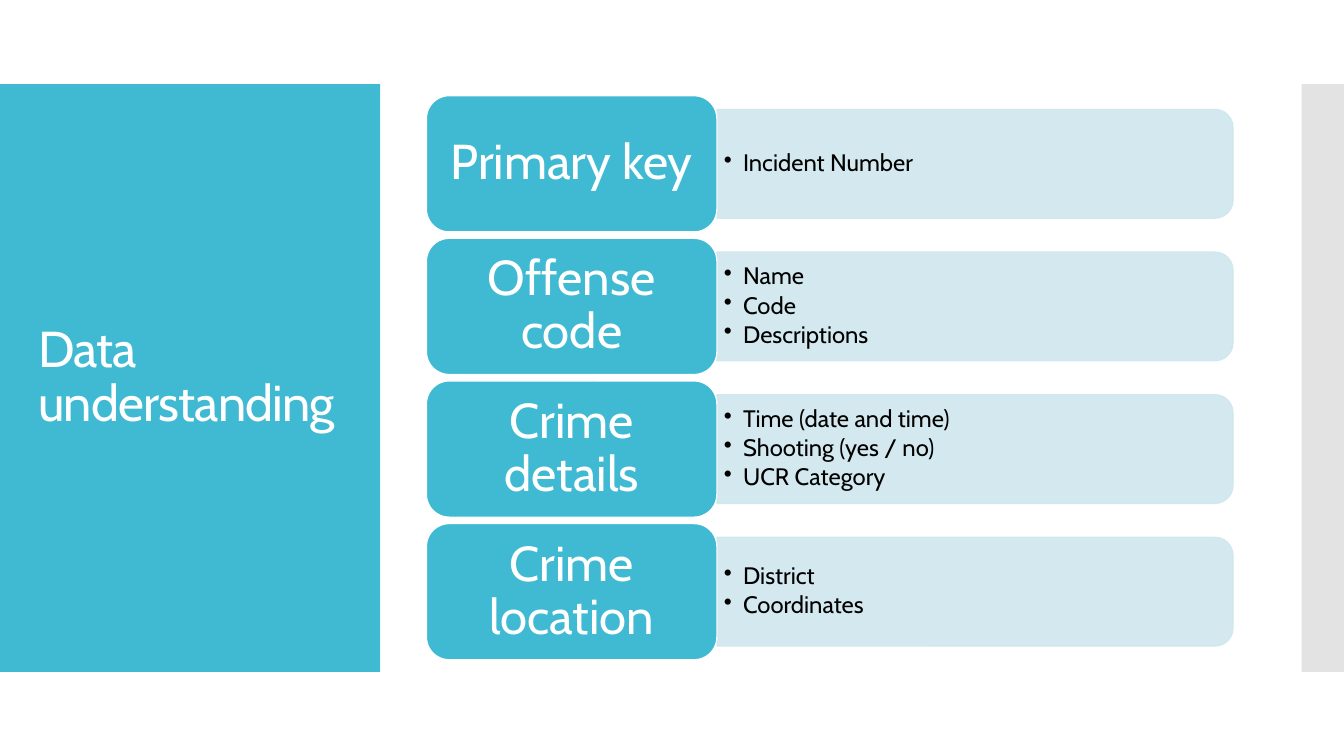
from lxml import etree
from pptx import Presentation
from pptx.dml.color import RGBColor
from pptx.enum.shapes import MSO_SHAPE
from pptx.enum.text import MSO_ANCHOR, PP_ALIGN
from pptx.oxml.ns import qn
from pptx.util import Inches, Pt

RECTANGLE = MSO_SHAPE.RECTANGLE
ROUNDED = MSO_SHAPE.ROUNDED_RECTANGLE
ROUNDED_TOP = MSO_SHAPE.ROUND_2_SAME_RECTANGLE
MIDDLE = MSO_ANCHOR.MIDDLE
LEFT, CENTER = PP_ALIGN.LEFT, PP_ALIGN.CENTER

TEAL = RGBColor(0x40, 0xBA, 0xD2)
PALE = RGBColor(0xCF, 0xE7, 0xEE)
GRAY = RGBColor(0xC8, 0xC8, 0xC8)
WHITE = RGBColor(0xFF, 0xFF, 0xFF)
BLACK = RGBColor(0x00, 0x00, 0x00)

SLIDE_WIDTH, SLIDE_HEIGHT = 13.33, 7.5
BAND_TOP = SLIDE_HEIGHT / 9
BAND_HEIGHT = SLIDE_HEIGHT * 7 / 9
TITLE_WIDTH, EDGE_WIDTH = 3.77, 0.42
LABEL_LEFT, LABEL_WIDTH, LABEL_HEIGHT = 4.23, 2.88, 1.35
ROW_TOP, ROW_PITCH = 0.95, 1.415
DETAIL_LEFT = LABEL_LEFT + LABEL_WIDTH
DETAIL_WIDTH, DETAIL_HEIGHT = 5.12, LABEL_HEIGHT * 0.8
TEXT_WIDTH, TEXT_HEIGHT = 5.07, 0.97

ROWS = [
    ("Primary key", ["Incident Number"]),
    ("Offense code", ["Name", "Code", "Descriptions"]),
    ("Crime details", ["Time (date and time)", "Shooting (yes / no)", "UCR Category"]),
    ("Crime location", ["District", "Coordinates"]),
]

TITLE_STYLE = {"size": Pt(36), "name": "Cabin"}
LABEL_STYLE = {"size": Pt(35), "name": "Cabin"}
DETAIL_STYLE = {"size": Pt(17), "name": "Cabin"}

deck = Presentation()
deck.slide_width, deck.slide_height = Inches(SLIDE_WIDTH), Inches(SLIDE_HEIGHT)
page = deck.slides.add_slide(deck.slide_layouts[6])


def add_block(kind, left, top, width, height, color, line=None, opacity=100):
    block = page.shapes.add_shape(
        kind, Inches(left), Inches(top), Inches(width), Inches(height))
    block.shadow.inherit = False
    block.fill.solid()
    block.fill.fore_color.rgb = color
    if line is None:
        block.line.fill.background()
    else:
        block.line.color.rgb = line
        block.line.width = Pt(0.85)
    if opacity < 100:
        for tint in block._element.spPr.iter(qn("a:srgbClr")):
            etree.SubElement(tint, qn("a:alpha"), val=str(opacity * 1000))
    return block


def write(box, lines, style, color, align, margins, after=0):
    frame = box.text_frame
    frame.word_wrap = True
    frame.vertical_anchor = MIDDLE
    for side, margin in zip(("left", "right", "top", "bottom"), margins):
        setattr(frame, f"margin_{side}", Inches(margin))
    for number, line in enumerate(lines):
        para = frame.paragraphs[0] if number == 0 else frame.add_paragraph()
        para.alignment = align
        para.line_spacing = 0.9
        para.space_after = Pt(after)
        span = para.add_run()
        span.text = line
        for key, value in style.items():
            setattr(span.font, key, value)
        span.font.color.rgb = color
    return frame


title = add_block(RECTANGLE, 0, BAND_TOP, TITLE_WIDTH, BAND_HEIGHT, TEAL)
frame = write(title, ["Data understanding"], TITLE_STYLE, WHITE, LEFT,
              (0.38, 0.37, 0.45, 0.45))
frame.paragraphs[0].runs[0].font._element.set("spc", "-60")
add_block(RECTANGLE, SLIDE_WIDTH - EDGE_WIDTH, BAND_TOP, EDGE_WIDTH, BAND_HEIGHT,
          GRAY, opacity=50)

for row, (name, details) in enumerate(ROWS):
    top = ROW_TOP + row * ROW_PITCH
    middle = top + LABEL_HEIGHT / 2

    panel = add_block(
        ROUNDED_TOP, DETAIL_LEFT + (DETAIL_WIDTH - DETAIL_HEIGHT) / 2,
        middle - DETAIL_WIDTH / 2, DETAIL_HEIGHT, DETAIL_WIDTH, PALE, PALE, 90)
    panel.rotation = 90

    box = page.shapes.add_textbox(
        Inches(DETAIL_LEFT), Inches(middle - TEXT_HEIGHT / 2),
        Inches(TEXT_WIDTH), Inches(TEXT_HEIGHT))
    frame = write(box, details, DETAIL_STYLE, BLACK, LEFT,
                  (0.07, 0.07, 0.04, 0.04), 2.5)
    for para in frame.paragraphs:
        settings = para._p.get_or_add_pPr()
        settings.set("marL", str(Inches(0.19)))
        settings.set("indent", str(Inches(-0.19)))
        etree.SubElement(settings, qn("a:buChar"), char="•")

    label = add_block(ROUNDED, LABEL_LEFT, top, LABEL_WIDTH, LABEL_HEIGHT, TEAL, WHITE)
    write(label, [name], LABEL_STYLE, WHITE, CENTER, (0.15, 0.15, 0.07, 0.07))

deck.save("out.pptx")
